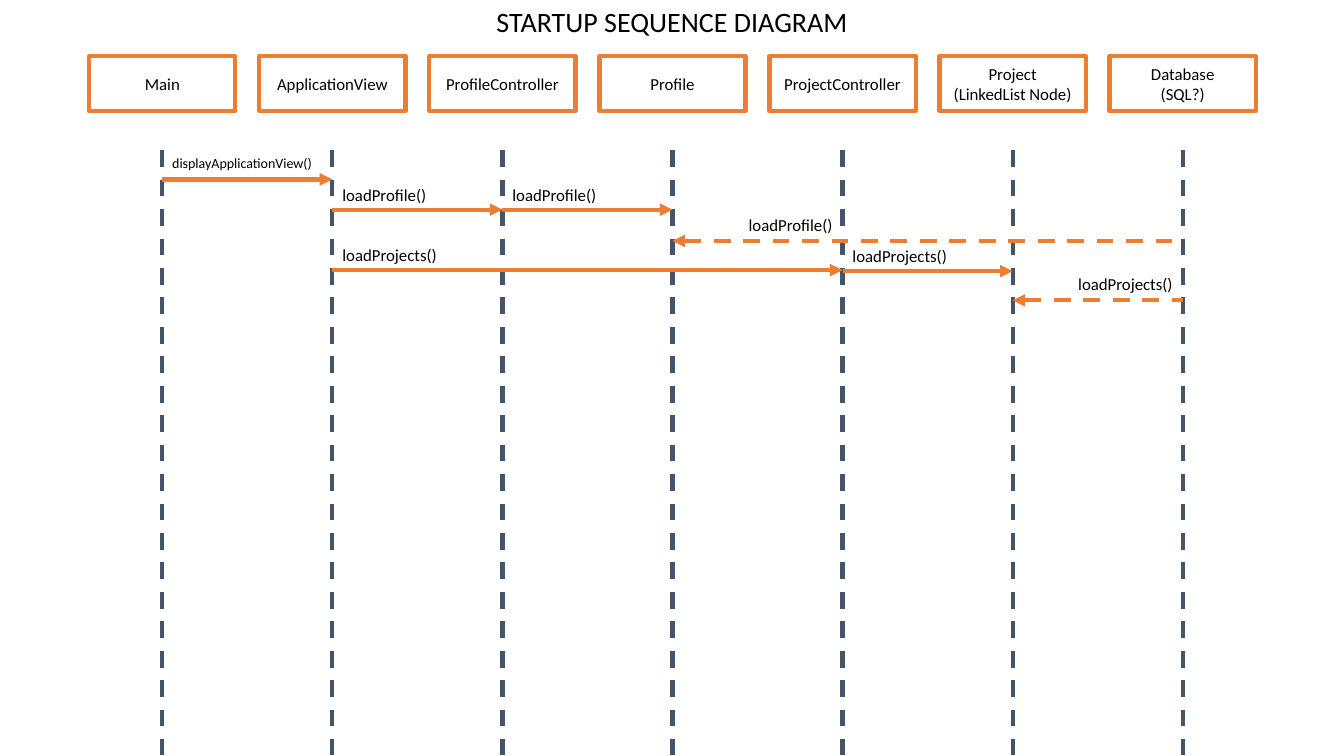
from pptx import Presentation
from pptx.util import Inches, Pt
from pptx.dml.color import RGBColor
from pptx.enum.dml import MSO_LINE
from pptx.enum.shapes import MSO_CONNECTOR, MSO_SHAPE
from pptx.enum.text import MSO_ANCHOR, PP_ALIGN
from lxml import etree

RECT, STRAIGHT, DASH = MSO_SHAPE.RECTANGLE, MSO_CONNECTOR.STRAIGHT, MSO_LINE.DASH
MIDDLE = MSO_ANCHOR.MIDDLE
LEFT, CENTER, RIGHT = PP_ALIGN.LEFT, PP_ALIGN.CENTER, PP_ALIGN.RIGHT
NS = "http://schemas.openxmlformats.org/drawingml/2006/main"
COLORS = {"text": "000000", "accent": "ED7D31", "lifeline": "44546A"}
FONT = "Calibri"

PARTICIPANTS = ["Main", "ApplicationView", "ProfileController", "Profile",
                "ProjectController", "Project\n(LinkedList Node)", "Database\v(SQL?)"]
FIRST_X, LAST_X = 1.61, 11.73
PITCH = (LAST_X - FIRST_X) / (len(PARTICIPANTS) - 1)

# Calls: text, caller, callee, y, label width, size
CALLS = [
    ("displayApplicationView()", 0, 1, 1.78, 1.66, 10),
    ("loadProfile()", 1, 2, 2.08, 1.04, 12),
    ("loadProfile()", 2, 3, 2.08, 1.04, 12),
    ("loadProjects()", 1, 4, 2.68, 1.15, 12),
    ("loadProjects()", 4, 5, 2.69, 1.15, 12),
]
# Returns: text, receiver, sender, y, label width, lifeline the label ends at
RETURNS = [
    ("loadProfile()", 3, 6, 2.39, 1.04, 4),
    ("loadProjects()", 5, 6, 2.98, 1.15, 6),
]


def rgb(name):
    return RGBColor.from_string(COLORS[name])


def lifeline_x(i):
    return FIRST_X + i * PITCH


def set_text(sp, text, size, align):
    tf = sp.text_frame
    tf.text = text
    for p in tf.paragraphs:
        p.alignment = align
        p.font.name, p.font.size = FONT, Pt(size)
        p.font.color.rgb = rgb("text")
    return tf


def add_label(s, x, y, w, h, text, size, align):
    sp = s.shapes.add_textbox(Inches(x), Inches(y), Inches(w), Inches(h))
    set_text(sp, text, size, align).word_wrap = False


def add_line(s, x1, y1, x2, y2, color, dashed=False, arrow=None):
    line = s.shapes.add_connector(STRAIGHT, Inches(x1), Inches(y1), Inches(x2), Inches(y2))
    line.line.color.rgb = rgb(color)
    line.line.width = Pt(3)
    if dashed:
        line.line.dash_style = DASH
    if arrow:
        etree.SubElement(line.line._get_or_add_ln(), f"{{{NS}}}{arrow}", type="triangle")
    etree.SubElement(line._element.spPr, f"{{{NS}}}effectLst")


def add_participant(s, x, y, w, h, name):
    # Header box
    sp = s.shapes.add_shape(RECT, Inches(x - w / 2), Inches(y), Inches(w), Inches(h))
    sp.shadow.inherit = False
    sp.fill.background()
    sp.line.color.rgb = rgb("accent")
    sp.line.width = Pt(3)
    tf = set_text(sp, name, 12, CENTER)
    tf.word_wrap = True
    tf.vertical_anchor = MIDDLE
    # Lifeline
    add_line(s, x, y + 0.93, x, y + 6.93, "lifeline", dashed=True)


def add_call(s, text, caller, callee, y, w, size):
    x = lifeline_x(caller)
    add_line(s, x, y, lifeline_x(callee), y, "accent", arrow="tailEnd")
    add_label(s, x, y - 0.3, w, 0.3, text, size, LEFT)


def add_return(s, text, receiver, sender, y, w, label_end):
    add_line(s, lifeline_x(receiver), y, lifeline_x(sender), y, "accent",
             dashed=True, arrow="headEnd")
    add_label(s, lifeline_x(label_end) - w, y - 0.31, w, 0.3, text, 12, RIGHT)


prs = Presentation()
prs.slide_width, prs.slide_height = Inches(13.33), Inches(7.5)
s = prs.slides.add_slide(prs.slide_layouts[6])

add_label(s, 2.29, 0, 8.75, 0.44, "STARTUP SEQUENCE DIAGRAM", 20, CENTER)
for i, name in enumerate(PARTICIPANTS):
    add_participant(s, lifeline_x(i), 0.56, 1.45, 0.54, name)
for call in CALLS:
    add_call(s, *call)
for ret in RETURNS:
    add_return(s, *ret)

prs.save("out.pptx")
